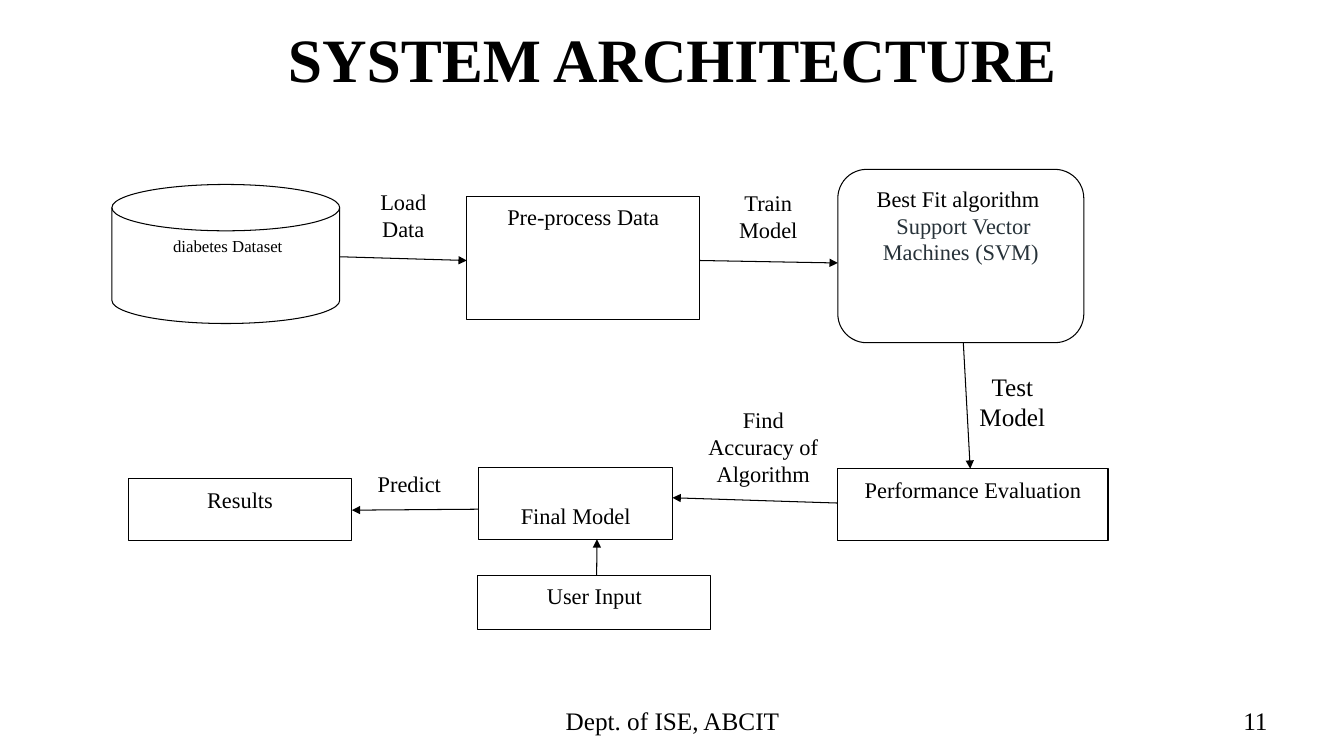
import pptx
import pptx.util
import pptx.dml.color
import pptx.enum.shapes
import pptx.enum.text
import lxml.etree

Pt = pptx.util.Pt
Kind = pptx.enum.shapes.MSO_SHAPE
Align = pptx.enum.text.PP_ALIGN
Anchor = pptx.enum.text.MSO_ANCHOR

# Content: places are (column, row, columns, rows) on the grid
COLS, ROWS = 1333, 750
FONT = "Times New Roman"
HUES = {"ink": "000000", "paper": "FFFFFF", "slate": "273239"}
TITLE = ("SYSTEM ARCHITECTURE", (67, 30, 1200, 125))
BOXES = {
    "data": (Kind.FLOWCHART_MAGNETIC_DISK, (111, 183, 226, 138), [" diabetes Dataset"]),
    "prep": (Kind.RECTANGLE, (463, 195, 231, 122), ["Pre-process Data"]),
    "fit": (Kind.ROUNDED_RECTANGLE, (831, 168, 244, 172),
            ["Best Fit algorithm ", " Support Vector Machines (SVM)"]),
    "score": (Kind.RECTANGLE, (831, 465, 268, 71), ["Performance Evaluation"]),
    "final": (Kind.RECTANGLE, (475, 464, 192, 71), ["Final Model"]),
    "user": (Kind.RECTANGLE, (474, 571, 231, 54), ["User Input"]),
    "result": (Kind.RECTANGLE, (127, 475, 222, 61), ["Results"]),
}
LABELS = [
    ("Load Data", (348, 180, 104, 65)),
    ("Train Model", (710, 181, 104, 65)),
    ("Find Accuracy of Algorithm", (688, 396, 138, 94)),
    ("Predict", (354, 459, 104, 42)),
]
NOTES = [
    ("Test Model", (953, 363, 102, 71), Align.CENTER, Anchor.TOP),
    ("Dept. of ISE, ABCIT", (456, 695, 422, 40), Align.CENTER, Anchor.MIDDLE),
    ("11", (956, 695, 311, 40), Align.RIGHT, Anchor.MIDDLE),
]
# Each end: box, side, share along that side
ARROWS = [
    (("data", "right", .52), ("prep", "left", .52)),
    (("prep", "right", .52), ("fit", "left", .54)),
    (("fit", "bottom", .51), ("score", "top", .49)),
    (("score", "left", .48), ("final", "right", .42)),
    (("final", "left", .58), ("result", "right", .51)),
    (("user", "top", .51), ("final", "bottom", .61)),
]

# Format values
ROOMY = {"margin_left": Pt(9.4), "margin_right": Pt(9.4),
         "margin_top": Pt(5), "margin_bottom": Pt(5)}
FORMS = {"data": {}, "final": {**ROOMY, "margin_top": Pt(24.5)}}
SIZES = {"data": 12}

deck = pptx.Presentation()
deck.slide_width, deck.slide_height = pptx.util.Inches(13.33), pptx.util.Inches(7.5)
slide = deck.slides.add_slide(deck.slide_layouts[5])
shapes = slide.shapes


def hue(name):
    return pptx.dml.color.RGBColor.from_string(HUES[name])


def grid(x, y):
    return round(x * deck.slide_width / COLS), round(y * deck.slide_height / ROWS)


def area(place):
    return grid(*place[:2]) + grid(*place[2:])


def put(item, values):
    for key, value in values.items():
        setattr(item, key, value)


def write(shape, lines, size, form, align=Align.CENTER, bold=False):
    frame = shape.text_frame
    put(frame, {"word_wrap": True, "vertical_anchor": Anchor.TOP, **form})
    for num, line in enumerate(lines):
        para = frame.paragraphs[0] if num == 0 else frame.add_paragraph()
        para.alignment = align
        run = para.add_run()
        run.text = line
        put(run.font, {"name": FONT, "size": Pt(size), "bold": bold})
        run.font.color.rgb = hue("slate" if num else "ink")


def box(kind, place, lines, edge, size=16, form=ROOMY):
    shape = shapes.add_shape(kind, *area(place))
    shape.shadow.inherit = False
    shape.fill.solid()
    shape.fill.fore_color.rgb = hue("paper")
    shape.line.color.rgb = hue(edge)
    shape.line.width = Pt(.75)
    write(shape, lines, size, form)


def port(name, side, share):
    x, y, wide, high = BOXES[name][1]
    if side in ("left", "right"):
        return grid(x + wide * (side == "right"), y + high * share)
    return grid(x + wide * share, y + high * (side == "bottom"))


# Title
title = shapes.title
put(title, dict(zip(("left", "top", "width", "height"), area(TITLE[1]))))
write(title, [TITLE[0]], 44,
      {"auto_size": pptx.enum.text.MSO_AUTO_SIZE.NONE, "vertical_anchor": Anchor.MIDDLE,
       "margin_top": 0, "margin_bottom": Pt(51)}, bold=True)

# Boxes and white labels
for name, (kind, place, lines) in BOXES.items():
    box(kind, place, lines, "ink", SIZES.get(name, 16), FORMS.get(name, ROOMY))
for text, place in LABELS:
    box(Kind.RECTANGLE, place, [text], "paper")

# Arrows
for start, end in ARROWS:
    line = shapes.add_connector(pptx.enum.shapes.MSO_CONNECTOR.STRAIGHT,
                                *port(*start), *port(*end))
    line.line.color.rgb = hue("ink")
    line.line.width = Pt(.75)
    tag = pptx.oxml.ns.qn
    lxml.etree.SubElement(line.line._get_or_add_ln(), tag("a:tailEnd"), type="triangle")
    lxml.etree.SubElement(line._element.spPr, tag("a:effectLst"))

# Free text and footer
for text, place, align, anchor in NOTES:
    write(shapes.add_textbox(*area(place)), [text], 18, {"vertical_anchor": anchor}, align)

deck.save("out.pptx")
